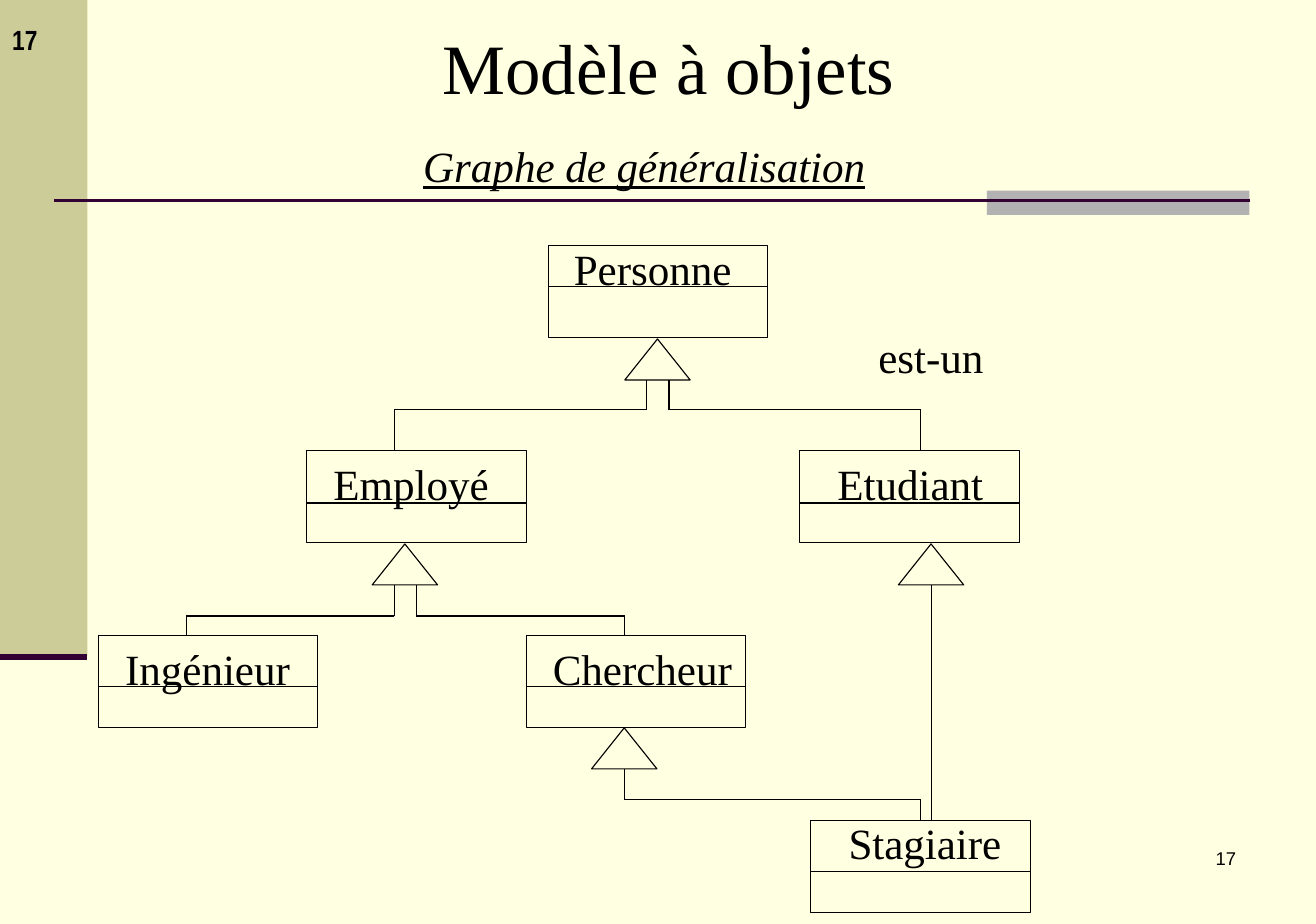
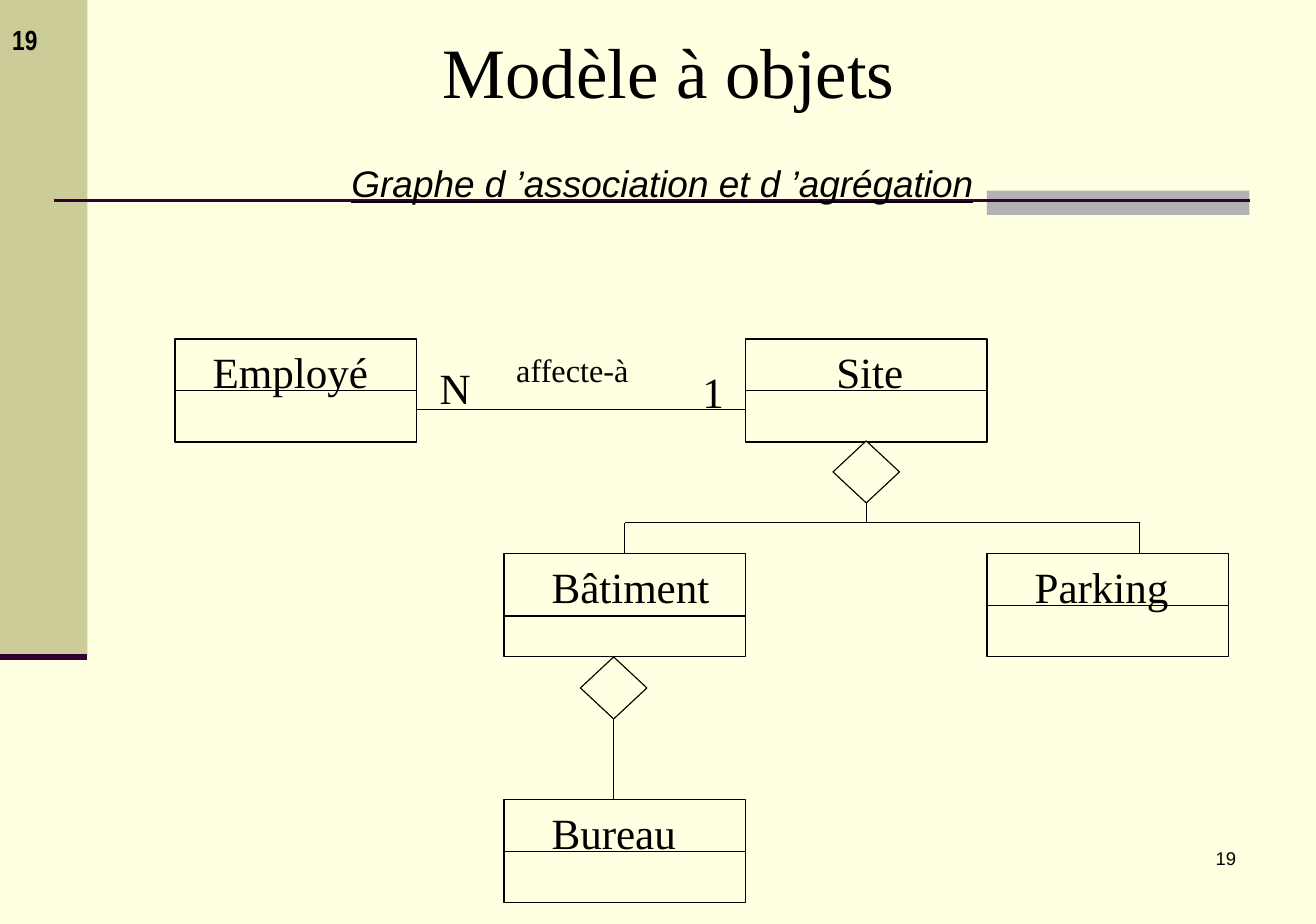
import pptx
import pptx.util
import pptx.dml.color
import pptx.enum.shapes
import pptx.enum.text
import pptx.oxml.ns
import lxml.etree
import itertools

Inches = pptx.util.Inches
RGBColor = pptx.dml.color.RGBColor
SHAPE = pptx.enum.shapes.MSO_SHAPE
ALIGN = pptx.enum.text.PP_ALIGN

CREAM = RGBColor(0xFF, 0xFF, 0xE1)
KHAKI = RGBColor(0xCC, 0xCC, 0x99)
GREY = RGBColor(0xB2, 0xB2, 0xB2)
PLUM = RGBColor(0x33, 0x00, 0x33)
BLACK = RGBColor(0x00, 0x00, 0x00)

TITLE = dict(name="Times New Roman", size=46)
LABEL = dict(name="Times New Roman", size=28)
SMALL_LABEL = dict(name="Times New Roman", size=21)
CORNER_NUMBER = dict(name="Arial Narrow", size=18, bold=True)
FOOTER_NUMBER = dict(name="Arial", size=12)
SUBTITLE = dict(italic=True, underline=True)

# classes: name, box left and top, divider offset, label left, top and width
# marks: left and top of each generalisation or aggregation symbol
# routes: corner points of each broken line
SLIDES = [
    dict(
        number="17", title="Modèle à objets", title_top=0.15,
        subtitle=("Graphe de généralisation", (3.7, 1.2, 4.28, 0.58),
                  LABEL | SUBTITLE, ALIGN.LEFT, False),
        class_size=(1.98, 0.83),
        classes=[
            ("Personne", 4.95, 2.22, 0.37, 5.06, 2.13, 1.72),
            ("Etudiant", 7.22, 4.07, 0.47, 7.44, 4.07, 1.61),
            ("Employé", 2.77, 4.07, 0.47, 2.89, 4.07, 1.69),
            ("Chercheur", 4.75, 5.74, 0.46, 4.87, 5.74, 1.91),
            ("Ingénieur", 0.89, 5.74, 0.46, 1.01, 5.74, 1.78),
            ("Stagiaire", 7.32, 7.41, 0.46, 7.54, 7.31, 1.67),
        ],
        mark=(SHAPE.ISOSCELES_TRIANGLE, 0.59, 0.37),
        marks=[(5.64, 3.06), (8.11, 4.91), (5.34, 6.57), (3.36, 4.91)],
        routes=[
            [(5.84, 3.43), (5.84, 3.7), (3.56, 3.7), (3.56, 4.07)],
            [(6.04, 3.43), (6.04, 3.7), (8.31, 3.7), (8.31, 4.07)],
            [(3.56, 5.28), (3.56, 5.56), (1.68, 5.56), (1.68, 5.74)],
            [(3.76, 5.28), (3.76, 5.56), (5.64, 5.56), (5.64, 5.74)],
            [(5.64, 6.94), (5.64, 7.22), (8.31, 7.22), (8.31, 7.41)],
            [(8.41, 5.28), (8.41, 7.41)],
        ],
        labels=[("est-un", (7.81, 2.92, 1.24, 0.58), LABEL)],
    ),
    dict(
        number="19", title="Modèle à objets", title_top=0.19,
        subtitle=("Graphe d ’association et d ’agrégation",
                  (0.49, 1.39, 10.98, 0.5),
                  dict(name="Arial", size=24) | SUBTITLE, ALIGN.CENTER, True),
        class_size=(2.18, 0.93),
        classes=[
            ("Employé", 1.58, 3.06, 0.46, 1.8, 3.06, 1.69),
            ("Site", 6.73, 3.06, 0.46, 7.43, 3.06, 0.9),
            ("Parking", 8.91, 5, 0.46, 9.22, 5, 1.5),
            ("Bâtiment", 4.55, 5, 0.56, 4.86, 5, 1.72),
            ("Bureau", 4.55, 7.22, 0.46, 4.86, 7.22, 1.41),
        ],
        mark=(SHAPE.DIAMOND, 0.6, 0.56),
        marks=[(7.52, 3.98), (5.24, 5.93)],
        routes=[
            [(7.82, 4.54), (7.82, 4.72)],
            [(7.82, 4.72), (10.29, 4.72), (10.29, 5)],
            [(7.82, 4.72), (5.64, 4.72), (5.64, 5)],
            [(5.54, 6.49), (5.54, 7.22)],
            [(3.76, 3.7), (6.73, 3.7)],
        ],
        labels=[
            ("N", (3.85, 3.2, 0.57, 0.58), LABEL),
            ("1", (6.22, 3.24, 0.49, 0.58), LABEL),
            ("affecte-à", (4.54, 3.1, 1.31, 0.47), SMALL_LABEL),
        ],
    ),
]


def add_box(slide, kind, box, fill, outlined=True):
    sp = slide.shapes.add_shape(kind, *map(Inches, box))
    sp.shadow.inherit = False
    sp.fill.solid()
    sp.fill.fore_color.rgb = fill
    if outlined:
        sp.line.color.rgb = BLACK
        sp.line.width = pptx.util.Pt(0.75)
    else:
        sp.line.fill.background()
    return sp


def side_at(point, shapes):
    """Return the shape and side whose middle lies at the point, if any."""
    x, y = map(Inches, point)
    near = Inches(0.02)
    for sp in shapes:
        cx, cy = sp.left + sp.width // 2, sp.top + sp.height // 2
        sides = [(cx, sp.top), (sp.left, cy),
                 (cx, sp.top + sp.height), (sp.left + sp.width, cy)]
        for side, (sx, sy) in enumerate(sides):
            if abs(sx - x) <= near and abs(sy - y) <= near:
                return sp, side
    return None


def add_line(slide, start, end, color=BLACK, width=0.75, joinable=()):
    line = slide.shapes.add_connector(
        pptx.enum.shapes.MSO_CONNECTOR.STRAIGHT, *map(Inches, start + end))
    line.line.color.rgb = color
    line.line.width = pptx.util.Pt(width)
    lxml.etree.SubElement(line._element.spPr, pptx.oxml.ns.qn("a:effectLst"))
    for point, join in ((start, line.begin_connect), (end, line.end_connect)):
        target = side_at(point, joinable)
        if target:
            join(*target)


def add_text(slide, text, box, style, align=ALIGN.LEFT, wrap=False, grow=True):
    tf = slide.shapes.add_textbox(*map(Inches, box)).text_frame
    auto = pptx.enum.text.MSO_AUTO_SIZE
    frame = dict(word_wrap=wrap,
                 auto_size=auto.SHAPE_TO_FIT_TEXT if grow else auto.NONE,
                 margin_left=Inches(0.12), margin_right=Inches(0.12),
                 margin_top=Inches(0.06), margin_bottom=Inches(0.06))
    for key, value in frame.items():
        setattr(tf, key, value)
    p = tf.paragraphs[0]
    p.alignment = align
    r = p.add_run()
    r.text = text
    for key, value in style.items():
        setattr(r.font, key, pptx.util.Pt(value) if key == "size" else value)
    r.font.color.rgb = BLACK


def add_frame(slide, data):
    """Draw the background, bands, rules, numbers and headings."""
    slide.background.fill.solid()
    slide.background.fill.fore_color.rgb = CREAM
    add_box(slide, SHAPE.RECTANGLE, (0, 0, 0.79, 5.92), KHAKI, False)
    add_box(slide, SHAPE.RECTANGLE, (8.91, 1.72, 2.37, 0.22), GREY, False)
    add_line(slide, (0.49, 1.81), (11.28, 1.81), PLUM, 1.5)
    add_line(slide, (0, 5.93), (0.79, 5.93), PLUM, 3.5)
    add_text(slide, data["number"], (-0.01, 0.15, 1.22, 0.42), CORNER_NUMBER)
    add_text(slide, data["number"], (8.81, 7.59, 2.47, 0.56), FOOTER_NUMBER,
             ALIGN.RIGHT, True, False)
    add_text(slide, data["title"], (1.88, data["title_top"], 8.31, 0.88),
             TITLE, ALIGN.CENTER, True)
    add_text(slide, *data["subtitle"])


def add_diagram(slide, data):
    width, height = data["class_size"]
    rects = [add_box(slide, SHAPE.RECTANGLE, (x, y, width, height), CREAM)
             for _, x, y, *_ in data["classes"]]
    kind, *mark_size = data["mark"]
    marks = [add_box(slide, kind, (x, y, *mark_size), CREAM)
             for x, y in data["marks"]]
    joinable = rects + (marks if kind == SHAPE.DIAMOND else [])
    for route in data["routes"]:
        for start, end in itertools.pairwise(route):
            add_line(slide, start, end, joinable=joinable)
    for _, x, y, offset, *_ in data["classes"]:
        add_line(slide, (x, y + offset), (x + width, y + offset),
                 joinable=rects)
    for name, _, _, _, left, top, label_width in data["classes"]:
        add_text(slide, name, (left, top, label_width, 0.58), LABEL)
    for label in data["labels"]:
        add_text(slide, *label)


def main():
    prs = pptx.Presentation()
    prs.slide_width, prs.slide_height = Inches(11.88), Inches(8.34)
    for data in SLIDES:
        slide = prs.slides.add_slide(prs.slide_layouts[6])
        add_frame(slide, data)
        add_diagram(slide, data)
    prs.save("out.pptx")


if __name__ == "__main__":
    main()
